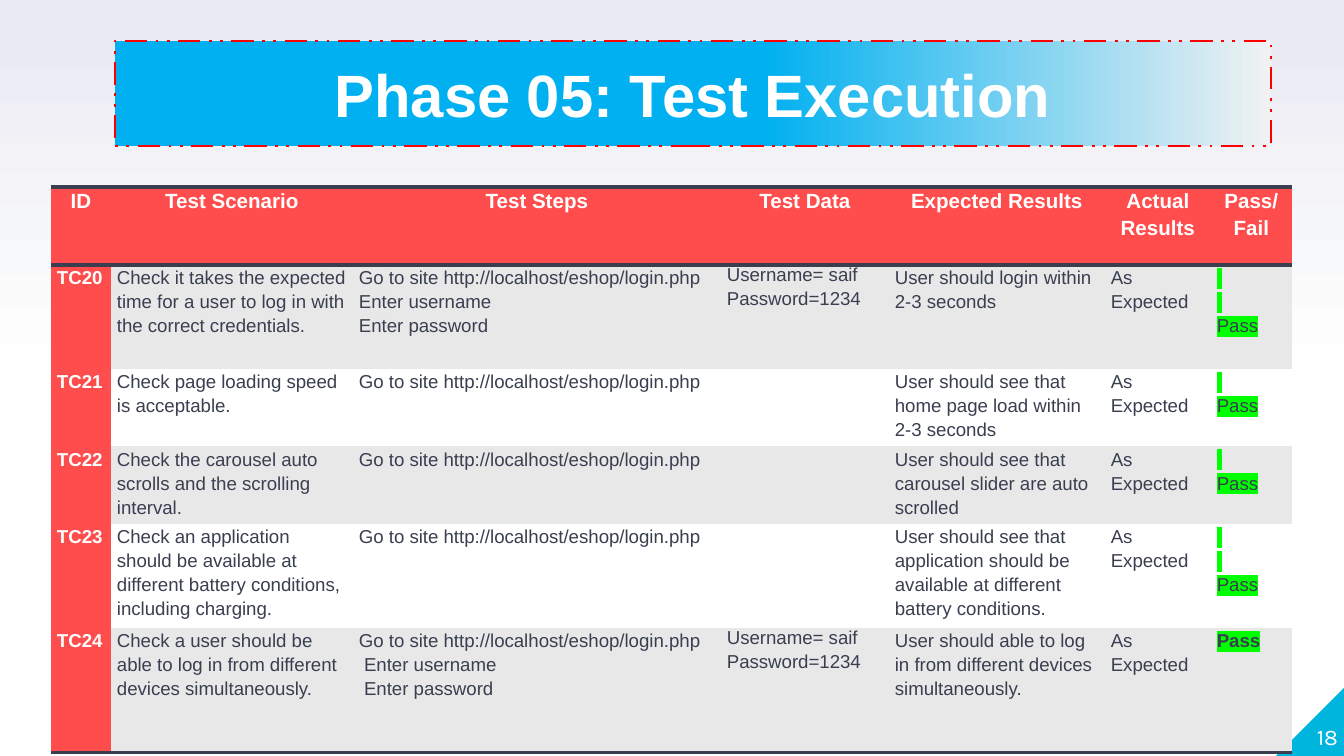
from pptx import Presentation
from pptx.dml.color import RGBColor as RGB
from pptx.enum.dml import MSO_LINE
from pptx.enum.shapes import MSO_SHAPE as SHAPE
from pptx.enum.text import MSO_ANCHOR as ANCHOR, MSO_AUTO_SIZE as FIT, PP_ALIGN as ALIGN
from pptx.oxml import parse_xml
from pptx.oxml.ns import nsdecls, qn
from pptx.util import Emu, Pt

WHITE = RGB(0xFF, 0xFF, 0xFF)
MIST = RGB(0xE9, 0xEA, 0xF2)
INK = RGB(0x3A, 0x3F, 0x50)
CORAL = RGB(0xFF, 0x4D, 0x4D)
BAND = RGB(0xE8, 0xE8, 0xE9)
BLUE = RGB(0x00, 0xB0, 0xF0)
PALE = RGB(0xF2, 0xF2, 0xF2)
RED = RGB(0xFF, 0x00, 0x00)
TEAL = RGB(0x00, 0xB5, 0xDD)
LIME = RGB(0x00, 0xFF, 0x00)

TITLE = "Phase 05: Test Execution"
PAGE = "18"
SITE = "Go to site http://localhost/eshop/login.php"
LOGIN = "Username= saif\nPassword=1234"
DONE = "As Expected"
GAP = " \n"  # no-break space, drawn as a marked line above "Pass"

HEAD = ["ID", "Test Scenario", "Test Steps", "Test Data",
        "Expected Results", "Actual Results", "Pass/\nFail"]
CASES = [
    ["TC20", "Check it takes the expected time for a user to log in with the correct credentials.",
     SITE + "\nEnter username\nEnter password", LOGIN,
     "User should login within 2-3 seconds", DONE, GAP * 2 + "Pass"],
    ["TC21", "Check page loading speed is acceptable.", SITE, "",
     "User should see that home page load within 2-3 seconds", DONE, GAP + "Pass"],
    ["TC22", "Check the carousel auto scrolls and the scrolling interval.", SITE, "",
     "User should see that carousel slider are auto scrolled", DONE, GAP + "Pass"],
    ["TC23", "Check an application should be available at different battery conditions, "
     "including charging.", SITE, "",
     "User should see that application should be available at different battery conditions.",
     DONE, GAP * 2 + "Pass"],
    ["TC24", "Check a user should be able to log in from different devices simultaneously.",
     SITE + "\n Enter username\n Enter password", LOGIN,
     "User should able to log in from different devices simultaneously.", DONE, "Pass"],
]
COLS = [60, 242, 368, 168, 216, 106, 81]
ROWS = [78, 104, 72, 73, 104, 125]
DATA, MARK = 3, 6  # columns with their own text rules
PLAIN = "{2D5ABB26-0587-4C30-8999-92F81FD0307C}"  # table style without grid


def px(n):
    return Emu(round(n * 914400 / 134.4))


def box(*sides):
    return [px(n) for n in sides]


def blend(fill, angle, *stops):
    fill.gradient()
    fill.gradient_angle = angle
    for stop, (pos, color) in zip(fill.gradient_stops, stops):
        stop.position = pos
        stop.color.rgb = color


def style(run, size, color, bold=False, face="Arial"):
    font = run.font
    font.size, font.bold, font.name = Pt(size), bold, face
    font.color.rgb = color


def mark(run):
    """Highlight a run that already has its colour."""
    tag = parse_xml(f'<a:highlight {nsdecls("a")}><a:srgbClr val="{LIME}"/></a:highlight>')
    run.font._element.find(qn("a:solidFill")).addnext(tag)


def rule(cell, sides):
    """Draw 2 pt borders; they must stand before the fill."""
    for i, side in enumerate(sides):
        line = parse_xml(f'<a:ln{side} {nsdecls("a")} w="25400"><a:solidFill>'
                         f'<a:srgbClr val="{INK}"/></a:solidFill></a:ln{side}>')
        cell._tc.get_or_add_tcPr().insert(i, line)


def fill_cell(cell, text, r, c):
    top, first = r == 0, c == 0
    red = top or first
    cell.margin_left = cell.margin_right = px(6)
    cell.margin_top = cell.margin_bottom = 0
    cell.fill.solid()
    cell.fill.fore_color.rgb = CORAL if red else BAND if r % 2 else WHITE
    rule(cell, "TB" if top else "B" if r == len(CASES) else "")
    cell.text_frame.text = text
    for i, para in enumerate(cell.text_frame.paragraphs):
        para.alignment = ALIGN.CENTER if top else ALIGN.LEFT
        para.line_spacing = 1.0 if c == DATA and r and i == 0 else 1.15
        para.font.size = Pt(10)
        for run in para.runs:
            last = r == len(CASES) and c == MARK
            style(run, 11 if top else 10, WHITE if red else INK, red or last)
            if c == MARK and not top:
                mark(run)


def add_title(slide):
    title = slide.shapes.title
    title.left, title.top, title.width, title.height = box(115, 41, 1156, 105)
    blend(title.fill, 0, (0.56, BLUE), (1, PALE))
    title.line.color.rgb = RED
    title.line.width = Pt(1.5)
    title.line.dash_style = MSO_LINE.DASH_DOT_DOT
    frame = title.text_frame
    frame.text = TITLE
    frame.auto_size = FIT.NONE
    frame.vertical_anchor = ANCHOR.MIDDLE
    frame.paragraphs[0].alignment = ALIGN.CENTER
    style(frame.paragraphs[0].runs[0], 32, WHITE, True)


def add_corner(slide):
    corner = slide.shapes.add_shape(SHAPE.RIGHT_TRIANGLE, *box(1276, 687, 69, 69))
    corner.shadow.inherit = False
    corner.fill.solid()
    corner.fill.fore_color.rgb = TEAL
    corner.line.fill.background()
    corner._element.spPr.xfrm.set("flipH", "1")

    frame = slide.shapes.add_textbox(*box(1271, 681, 67, 69)).text_frame
    frame.margin_left = frame.margin_right = frame.margin_top = frame.margin_bottom = 0
    frame.word_wrap = True
    frame.vertical_anchor = ANCHOR.BOTTOM
    frame.text = PAGE
    frame.paragraphs[0].alignment = ALIGN.RIGHT
    style(frame.paragraphs[0].runs[0], 12, WHITE, face="Karla")


def add_cases(slide):
    table = slide.shapes.add_table(
        len(ROWS), len(COLS), *box(51, 187, sum(COLS), sum(ROWS))).table
    table.first_row = table.horz_banding = False
    table._tbl.tblPr.find(qn("a:tableStyleId")).text = PLAIN
    for col, wide in zip(table.columns, COLS):
        col.width = px(wide)
    for row, high in zip(table.rows, ROWS):
        row.height = px(high)
    for r, texts in enumerate([HEAD] + CASES):
        for c, text in enumerate(texts):
            fill_cell(table.cell(r, c), text, r, c)


def main():
    deck = Presentation()
    deck.slide_width, deck.slide_height = box(1344, 756)
    slide = deck.slides.add_slide(deck.slide_layouts[5])
    blend(slide.background.fill, 90, (0.5, WHITE), (1, MIST))
    add_corner(slide)
    add_title(slide)
    add_cases(slide)
    deck.save("out.pptx")


if __name__ == "__main__":
    main()
